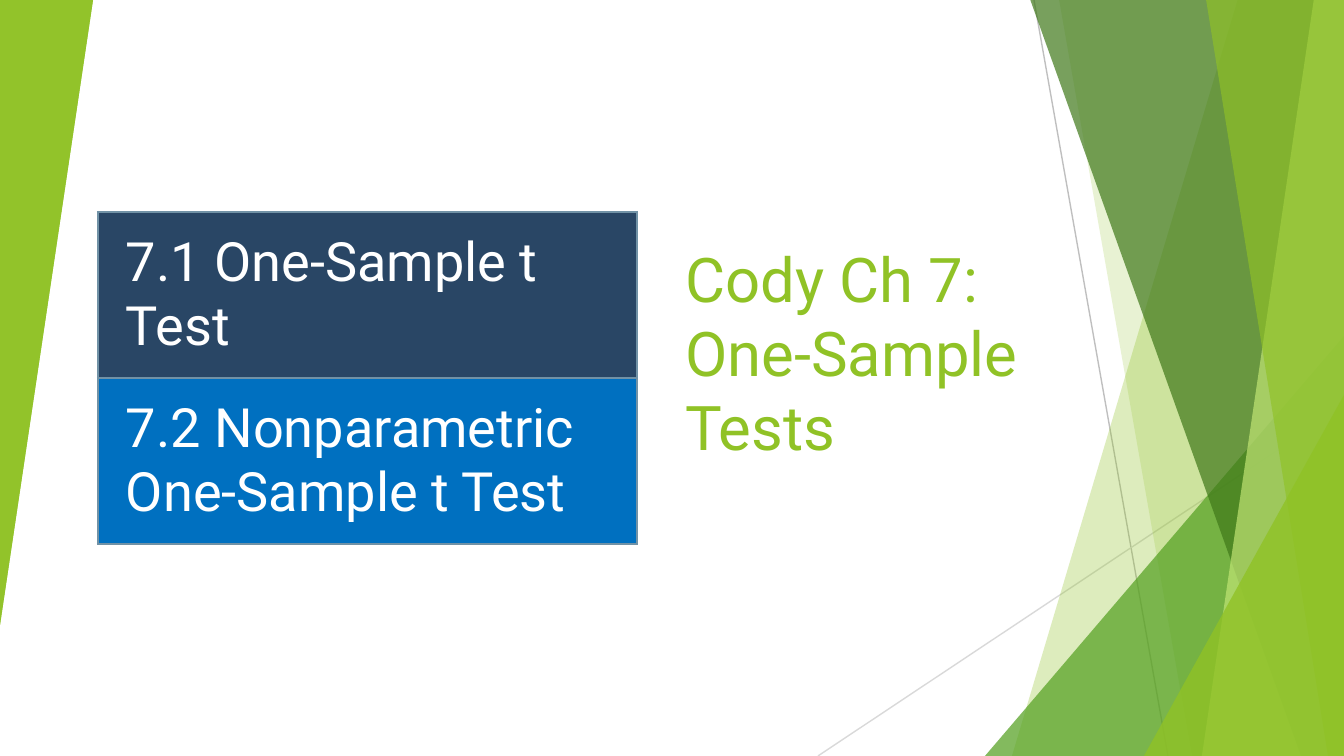
from dataclasses import dataclass

from lxml import etree
from pptx import Presentation
from pptx import util as u
from pptx.dml.color import RGBColor
from pptx.enum import shapes, text
from pptx.oxml import ns

EMU_PER_PX = 914400 / 134.4
WIDTH, HEIGHT = 1344, 756
TOP = -1  # the bands start just above the slide

LIME = RGBColor(0x90, 0xC2, 0x26)
PALE_LIME = RGBColor(0xC0, 0xE4, 0x74)
GREEN = RGBColor(0x54, 0xA0, 0x21)
DARK_GREEN = RGBColor(0x3F, 0x78, 0x19)
GREY = RGBColor(0xBF, 0xBF, 0xBF)
LIGHT_GREY = RGBColor(0xD9, 0xD9, 0xD9)
WHITE = RGBColor(0xFF, 0xFF, 0xFF)
NAVY = RGBColor(0x29, 0x46, 0x65)
BLUE = RGBColor(0x00, 0x70, 0xC0)
BORDER = RGBColor(0x71, 0x92, 0xA6)


@dataclass
class Line:
    x1: int
    y1: int
    x2: int
    y2: int
    color: RGBColor


@dataclass
class Band:
    """Area from a slanted left edge to the right side of the slide."""
    top_x: int
    bottom_x: int
    color: RGBColor
    opacity: int


@dataclass
class Triangle:
    x: int
    y: int
    w: int
    h: int
    color: RGBColor
    opacity: int
    rotation: int = 0


@dataclass
class Topic:
    title: str
    color: RGBColor


LEFT_WEDGE = Triangle(0, 0, 93, 625, LIME, 85, rotation=180)
DECOR = [
    Line(1034, 0, 1168, HEIGHT, GREY),
    Line(WIDTH, 406, 818, HEIGHT, LIGHT_GREY),
    Band(1238, 1012, LIME, 30),
    Band(1059, 1192, LIME, 20),
    Triangle(985, 336, 359, 420, GREEN, 72),
    Band(1030, 1301, DARK_GREEN, 70),
    Band(1314, 1202, PALE_LIME, 70),
    Band(1206, 1328, LIME, 65),
    Triangle(1144, 395, 200, 361, LIME, 80),
    LEFT_WEDGE,
    LEFT_WEDGE,
]
TOPICS = [
    Topic("7.1 One-Sample t Test", NAVY),
    Topic("7.2 Nonparametric One-Sample t Test", BLUE),
]


def px(n: int) -> u.Emu:
    return u.Emu(round(n * EMU_PER_PX))


def paint(sp, color: RGBColor, opacity: int) -> None:
    sp.shadow.inherit = False
    sp.line.fill.background()
    sp.fill.solid()
    sp.fill.fore_color.rgb = color
    clr = sp.fill._xPr.find(".//" + ns.qn("a:srgbClr"))
    etree.SubElement(clr, ns.qn("a:alpha"), val=str(opacity * 1000))


def draw_line(s, line: Line) -> None:
    ends = (px(n) for n in (line.x1, line.y1, line.x2, line.y2))
    c = s.shapes.add_connector(shapes.MSO_CONNECTOR.STRAIGHT, *ends)
    c.line.color.rgb = line.color
    c.line.width = u.Pt(0.75)
    etree.SubElement(c._element.spPr, ns.qn("a:effectLst"))


def draw_band(s, band: Band) -> None:
    builder = s.shapes.build_freeform(band.top_x, TOP, scale=EMU_PER_PX)
    builder.add_line_segments([(WIDTH, TOP), (WIDTH, HEIGHT), (band.bottom_x, HEIGHT)])
    paint(builder.convert_to_shape(), band.color, band.opacity)


def draw_triangle(s, tri: Triangle) -> None:
    sp = s.shapes.add_shape(shapes.MSO_SHAPE.ISOSCELES_TRIANGLE,
                            px(tri.x), px(tri.y), px(tri.w), px(tri.h))
    sp.adjustments[0] = 1
    sp.rotation = tri.rotation
    paint(sp, tri.color, tri.opacity)


def write(tf, content: str, *, size: int, color: RGBColor, font: str = "Roboto") -> None:
    tf.word_wrap = True
    r = tf.paragraphs[0].add_run()
    r.text = content
    r.font.name = font
    r.font.size = u.Pt(size)
    r.font.bold = False
    r.font.color.rgb = color


def add_borders(cell, color: RGBColor, width: float) -> None:
    tc_pr = cell._tc.get_or_add_tcPr()
    for i, side in enumerate(("lnL", "lnR", "lnT", "lnB")):
        ln = etree.Element(ns.qn(f"a:{side}"), w=str(u.Pt(width)))
        fill = etree.SubElement(ln, ns.qn("a:solidFill"))
        etree.SubElement(fill, ns.qn("a:srgbClr"), val=str(color))
        tc_pr.insert(i, ln)


def draw_topics(s, topics: list[Topic], x: int, y: int, w: int, row_h: int) -> None:
    table = s.shapes.add_table(len(topics), 1, px(x), px(y), px(w),
                               px(row_h * len(topics))).table
    for i, topic in enumerate(topics):
        table.rows[i].height = px(row_h)
        cell = table.cell(i, 0)
        cell.margin_left = cell.margin_right = px(28)
        cell.margin_top = cell.margin_bottom = px(14)
        cell.vertical_anchor = text.MSO_ANCHOR.MIDDLE
        cell.fill.solid()
        cell.fill.fore_color.rgb = topic.color
        add_borders(cell, BORDER, 1.5)
        write(cell.text_frame, topic.title, size=29, color=WHITE)


def draw_title(s, title: str, x: int, y: int, w: int, h: int) -> None:
    tf = s.shapes.add_textbox(px(x), px(y), px(w), px(h)).text_frame
    tf.vertical_anchor = text.MSO_ANCHOR.BOTTOM
    write(tf, title, size=33, color=LIME)


def main() -> None:
    prs = Presentation()
    prs.slide_width, prs.slide_height = px(WIDTH), px(HEIGHT)
    s = prs.slides.add_slide(prs.slide_layouts[6])
    draw = {Line: draw_line, Band: draw_band, Triangle: draw_triangle}
    for item in DECOR:
        draw[type(item)](s, item)
    draw_title(s, "Cody Ch 7: One-Sample Tests", 672, 138, 386, 331)
    draw_topics(s, TOPICS, 98, 212, 539, 166)
    prs.save("out.pptx")


if __name__ == "__main__":
    main()
